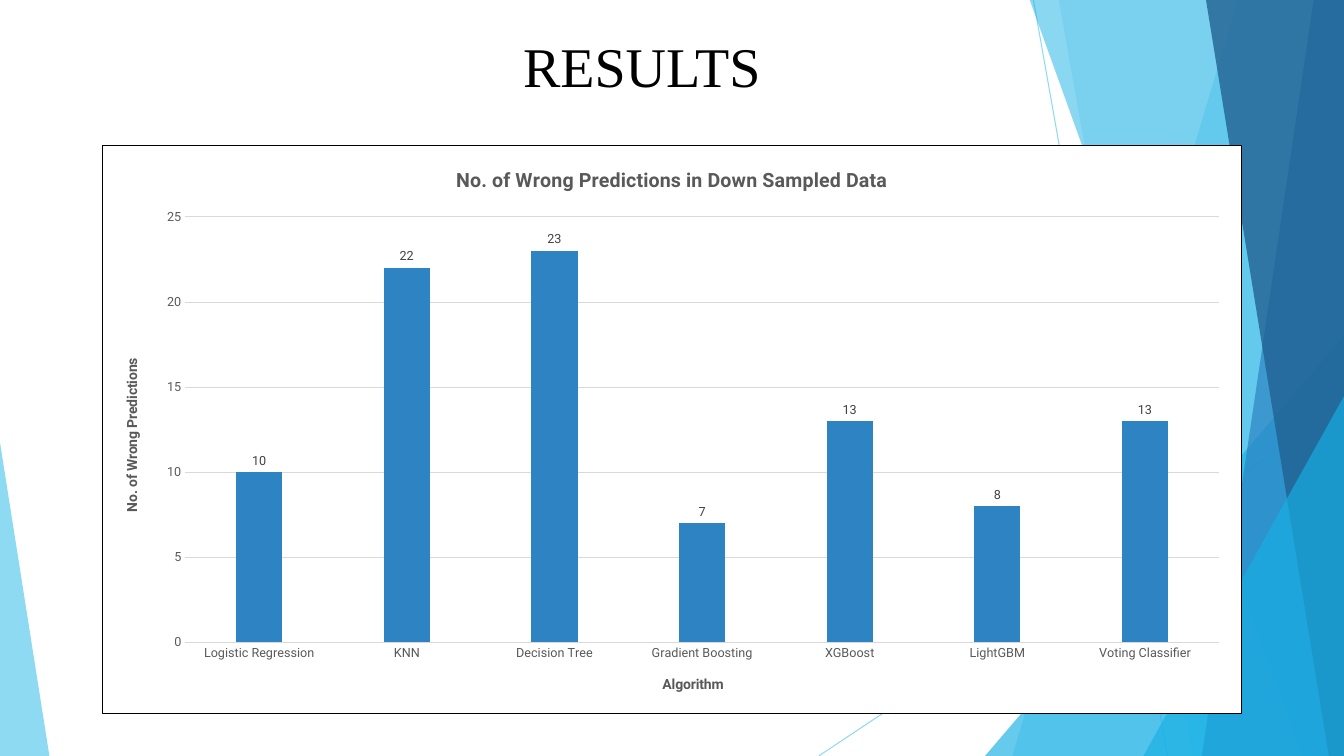
import pptx
import pptx.chart.data
import pptx.dml.color
import pptx.enum.chart
import pptx.enum.shapes
import pptx.oxml
import pptx.util
from lxml import etree
from pptx.util import Inches, Pt

RGBColor = pptx.dml.color.RGBColor
SKY = RGBColor(0x5F, 0xCB, 0xEF)
CYAN = RGBColor(0x17, 0xB0, 0xE4)
BLUE = RGBColor(0x2E, 0x83, 0xC3)
NAVY = RGBColor(0x22, 0x62, 0x92)
BLACK = RGBColor(0, 0, 0)
GREY = RGBColor(0x59, 0x59, 0x59)
DARK_GREY = RGBColor(0x40, 0x40, 0x40)
LIGHT_GREY = RGBColor(0xD9, 0xD9, 0xD9)
A_NS = "http://schemas.openxmlformats.org/drawingml/2006/main"
C_NS = "http://schemas.openxmlformats.org/drawingml/2006/chart"


def set_opacity(element, percent):
    color = next(element.iter(f"{{{A_NS}}}srgbClr"))
    etree.SubElement(color, f"{{{A_NS}}}alpha", val=str(percent * 1000))


def style_font(font, size, color, bold=False):
    font.name = "Roboto"
    font.size = Pt(size)
    font.bold = bold
    font.color.rgb = color


deck = pptx.Presentation()
deck.slide_width = Inches(13.33)
deck.slide_height = Inches(7.5)
slide = deck.slides.add_slide(deck.slide_layouts[6])
shapes = slide.shapes

for x1, y1, x2, y2 in [(10.25, 0, 11.58, 7.5), (13.33, 4.03, 8.12, 7.5)]:
    ray = shapes.add_connector(
        pptx.enum.shapes.MSO_CONNECTOR.STRAIGHT,
        Inches(x1), Inches(y1), Inches(x2), Inches(y2))
    ray.line.color.rgb = SKY
    ray.line.width = Pt(0.75)
    properties = ray.element.spPr
    set_opacity(properties, 70)
    etree.SubElement(properties, f"{{{A_NS}}}effectLst")

facets = [
    ("band", 12.28, 10.04, SKY, 36),
    ("band", 10.5, 11.83, SKY, 20),
    ("triangle", (9.77, 3.33, 3.56, 4.17), 1, CYAN, 66),
    ("band", 10.21, 12.91, CYAN, 50),
    ("band", 13.03, 11.92, BLUE, 70),
    ("band", 11.96, 13.18, NAVY, 80),
    ("triangle", (11.34, 3.93, 1.99, 3.57), 1, CYAN, 66),
    ("triangle", (0, 4.39, 0.49, 3.11), 0, SKY, 70),
]
for kind, place, slant, color, opacity in facets:
    if kind == "band":
        outline = shapes.build_freeform(Inches(place), Inches(-0.01))
        outline.add_line_segments(
            [(Inches(x), Inches(y)) for x, y in
             [(13.33, -0.01), (13.33, 7.5), (slant, 7.5)]], close=True)
        facet = outline.convert_to_shape()
    else:
        facet = shapes.add_shape(
            pptx.enum.shapes.MSO_SHAPE.ISOSCELES_TRIANGLE, *map(Inches, place))
        facet.adjustments[0] = slant
    facet.shadow.inherit = False
    facet.fill.solid()
    facet.fill.fore_color.rgb = color
    facet.line.fill.background()
    set_opacity(facet.element.spPr, opacity)

heading = shapes.add_textbox(Inches(5.09), Inches(0.26), Inches(5.8), Inches(0.77))
heading.text_frame.word_wrap = True
heading_run = heading.text_frame.paragraphs[0].add_run()
heading_run.text = "RESULTS"
heading_run.font.name = "Times New Roman"
heading_run.font.size = Pt(40)
heading_run.font.color.rgb = BLACK

predictions = pptx.chart.data.CategoryChartData()
predictions.categories = [
    "Logistic Regression", "KNN", "Decision Tree", "Gradient Boosting",
    "XGBoost", "LightGBM", "Voting Classifier"]
predictions.add_series("Series 1", [10, 22, 23, 7, 13, 8, 13])
chart = shapes.add_chart(
    pptx.enum.chart.XL_CHART_TYPE.COLUMN_CLUSTERED,
    Inches(1.01), Inches(1.44), Inches(11.31), Inches(5.64), predictions).chart
style_font(chart.font, 10, BLACK)
chart.has_legend = False
chart.has_title = True

algorithm_axis = chart.category_axis
count_axis = chart.value_axis
algorithm_axis.has_title = count_axis.has_title = True
for caption, wording, size in [
    (chart.chart_title, "No. of Wrong Predictions in Down Sampled Data", 14),
    (algorithm_axis.axis_title, "Algorithm", 10),
    (count_axis.axis_title, "No. of Wrong Predictions", 10),
]:
    caption_run = caption.text_frame.paragraphs[0].add_run()
    caption_run.text = wording
    style_font(caption_run.font, size, GREY, True)
count_body = next(count_axis.axis_title.element.iter(f"{{{A_NS}}}bodyPr"))
count_body.set("rot", "-5400000")
count_body.set("vert", "horz")

for axis in (algorithm_axis, count_axis):
    axis.major_tick_mark = pptx.enum.chart.XL_TICK_MARK.NONE
    axis.minor_tick_mark = pptx.enum.chart.XL_TICK_MARK.NONE
    style_font(axis.tick_labels.font, 9, GREY)
count_axis.minimum_scale = 0
count_axis.maximum_scale = 25
count_axis.major_unit = 5
count_axis.format.line.fill.background()
for rule in (algorithm_axis.format.line, count_axis.major_gridlines.format.line):
    rule.color.rgb = LIGHT_GREY
    rule.width = Pt(0.75)

columns = chart.plots[0]
columns.vary_by_categories = False
columns.gap_width = 219
columns.overlap = -27
wrong_counts = columns.series[0]
wrong_counts.format.fill.solid()
wrong_counts.format.fill.fore_color.rgb = BLUE
count_labels = wrong_counts.data_labels
count_labels.show_value = True
count_labels.position = pptx.enum.chart.XL_LABEL_POSITION.OUTSIDE_END
style_font(count_labels.font, 9, DARK_GREY)

chart_frame = pptx.oxml.parse_xml(
    f'<c:spPr xmlns:c="{C_NS}" xmlns:a="{A_NS}">'
    '<a:solidFill><a:srgbClr val="FFFFFF"/></a:solidFill>'
    '<a:ln w="9525"><a:solidFill><a:srgbClr val="000000"/></a:solidFill></a:ln>'
    '</c:spPr>')
chart.element.find(f"{{{C_NS}}}chart").addnext(chart_frame)

deck.save("out.pptx")
